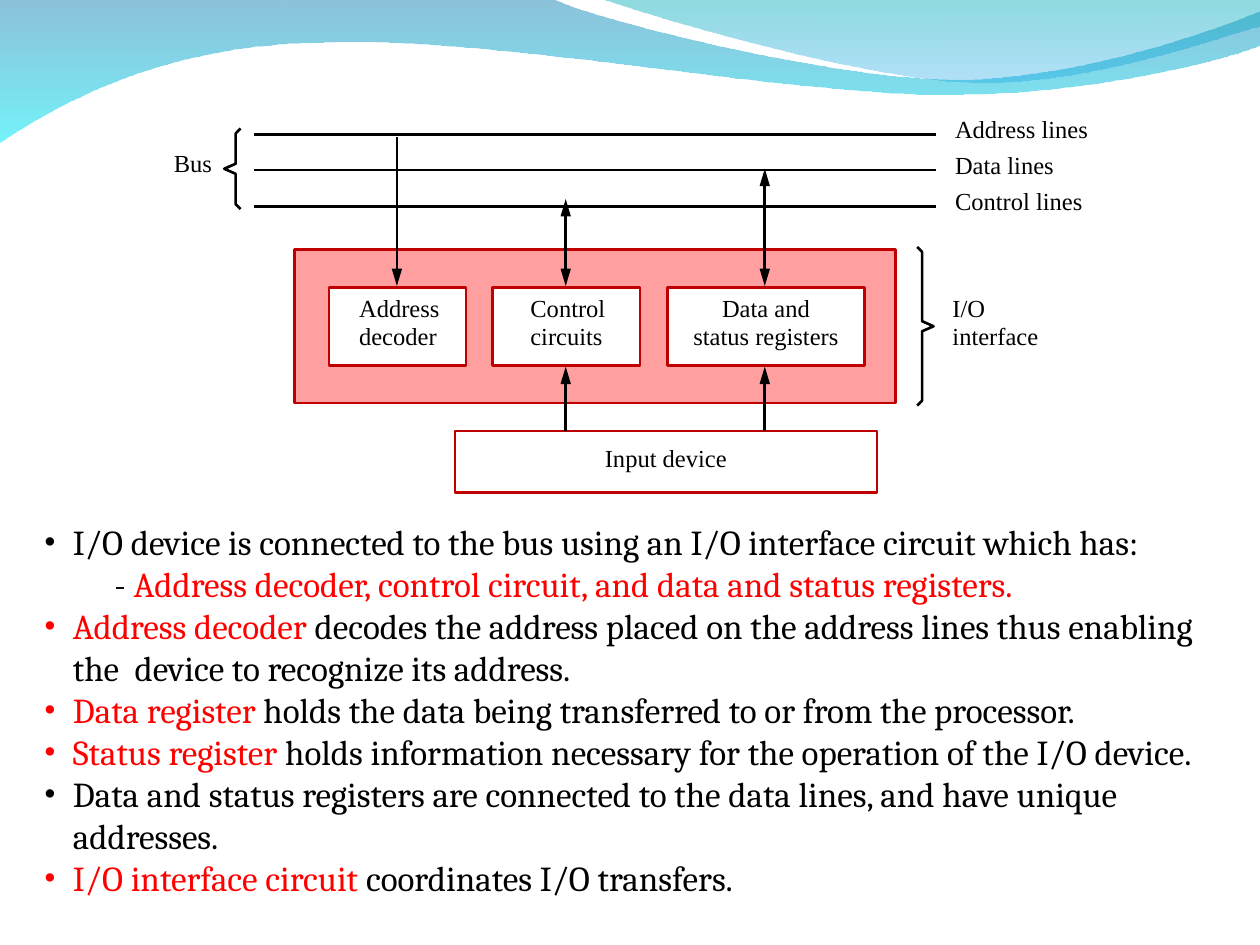
from dataclasses import dataclass

from lxml.etree import SubElement
from pptx import Presentation
from pptx.dml.color import RGBColor
from pptx.enum.shapes import MSO_CONNECTOR as Connector, MSO_SHAPE as Shape
from pptx.enum.text import MSO_ANCHOR as Anchor, PP_ALIGN as Align
from pptx.oxml.ns import qn
from pptx.util import Inches, Pt


@dataclass(frozen=True)
class Theme:
    black: str = "000000"
    white: str = "FFFFFF"
    red: str = "FF0000"
    border: str = "C00000"
    panel: str = "FF9F9F"
    label_font: str = "Times New Roman"
    body_font: str = "Cambria"
    label_size: int = 14
    body_size: int = 20
    label_spacing: float = 0.95
    line_width: float = 1.5


theme = Theme()

# Waves: start, cubic or straight segments, gradient stops (colour, opacity %)
WAVES = [
    ((0, 0), [[(4.4, 0)],
              [(4.76, 0.17), (6.64, 0.63), (7.58, 0.63)],
              [(8.53, 0.63), (9.58, 0.26), (10, 0.09)],
              [(10, 0.36)],
              [(9.83, 0.44), (8.7, 0.76), (7.46, 0.75)],
              [(6.22, 0.75), (3.82, 0.28), (2.57, 0.34)],
              [(1.29, 0.35), (0.46, 0.83), (0, 1.13)]],
     [("0079AF", 45), ("00EBF8", 55)]),
    ((4.79, 0), [[(5.09, 0.11), (6.82, 0.62), (7.69, 0.65)],
                 [(8.56, 0.69), (9.61, 0.32), (10, 0.21)],
                 [(10, 0)]],
     [("00ADB6", 45), ("009BE5", 30)]),
]

# Diagram: bus lines, boxes, arrows, braces and labels
BUS_LEFT, BUS_RIGHT = 2.02, 7.43
BUS_LINES = [1.07, 1.35, 1.64]
PANEL = (2.34, 1.98, 4.77, 1.22)
BOXES = [  # lines, left, top, width, height, left inset (None: centred), top inset
    (["Address", "decoder"], 2.61, 2.28, 1.09, 0.62, 0.24, 0.06),
    (["Control", "circuits"], 3.91, 2.28, 1.17, 0.62, 0.3, 0.06),
    (["Data and", "status registers"], 5.3, 2.28, 1.56, 0.62, None, 0.06),
    (["Input device"], 3.61, 3.42, 3.35, 0.49, None, 0.11),
]
ARROWS = [  # x, start, end, both ends
    (3.15, 1.09, 2.27, False),
    (4.49, 1.58, 2.27, True),
    (6.07, 1.34, 2.27, True),
    (4.49, 3.42, 2.91, False),
    (6.07, 3.42, 2.91, False),
]
BRACES = [(1.91, 1.78, 1.02, 1.66), (7.28, 7.41, 1.96, 3.22)]  # edge, tip, top, bottom
LABELS = [  # lines, left, top, width
    (["Bus"], 1.38, 1.19, 0.4),
    (["Address lines"], 7.58, 0.92, 1.2),
    (["Data lines"], 7.58, 1.21, 1.2),
    (["Control lines"], 7.58, 1.49, 1.2),
    (["I/O", "interface"], 7.56, 2.34, 0.8),
]

# Notes: bulleted or not, then (text, colour) runs
BLACK, RED = theme.black, theme.red
NOTES = [
    (True, [("I/O device is connected to the bus using an I/O interface circuit which has:", BLACK)]),
    (False, [("- ", BLACK),
             ("Address decoder, control circuit, and data and status registers.", RED)]),
    (True, [("Address decoder ", RED),
            ("decodes the address placed on the address lines thus enabling the  device "
             "to recognize its address.", BLACK)]),
    (True, [("Data register ", RED),
            ("holds the data being transferred to or from the processor.", BLACK)]),
    (True, [("Status register ", RED),
            ("holds information necessary for the operation of the I/O device.", BLACK)]),
    (True, [("Data and status registers are connected to the data lines, and have unique "
             "addresses.", BLACK)]),
    (True, [("I/O interface circuit ", RED), ("coordinates I/O transfers.", BLACK)]),
]

presentation = Presentation()
presentation.slide_width, presentation.slide_height = Inches(10), Inches(7.5)
slide = presentation.slides.add_slide(presentation.slide_layouts[6])
shapes = slide.shapes


def color(value):
    return RGBColor.from_string(value)


def set_line(shape, value):
    shape.line.color.rgb = color(value)
    shape.line.width = Pt(theme.line_width)


def style_run(run, font, size, value):
    run.font.name, run.font.size = font, Pt(size)
    run.font.color.rgb = color(value)


def add_outline(points, close):
    points = [(Inches(x), Inches(y)) for x, y in points]
    builder = shapes.build_freeform(*points[0])
    builder.add_line_segments(points[1:], close=close)
    shape = builder.convert_to_shape()
    shape.shadow.inherit = False
    return shape


def curve_points(start, segments, steps=40):
    points = [start]
    for segment in segments:
        if len(segment) == 1:
            points.append(segment[0])
            continue
        controls = [points[-1], *segment]
        for step in range(1, steps + 1):
            t = step / steps
            weights = ((1 - t) ** 3, 3 * t * (1 - t) ** 2, 3 * t * t * (1 - t), t ** 3)
            points.append(tuple(sum(w * c[axis] for w, c in zip(weights, controls))
                                for axis in (0, 1)))
    return points


def add_wave(start, segments, stops):
    wave = add_outline(curve_points(start, segments), True)
    wave.line.fill.background()
    wave.fill.gradient()
    wave.fill.gradient_angle = 270
    for stop, (value, _) in zip(wave.fill.gradient_stops, stops):
        stop.color.rgb = color(value)
    fills = wave.element.spPr.iter(qn("a:srgbClr"))
    for element, (_, opacity) in zip(fills, stops):
        SubElement(element, qn("a:alpha"), val=str(opacity * 1000))


def add_box(left, top, width, height, fill):
    box = shapes.add_shape(Shape.RECTANGLE, *map(Inches, (left, top, width, height)))
    box.shadow.inherit = False
    box.fill.solid()
    box.fill.fore_color.rgb = color(fill)
    set_line(box, theme.border)
    return box


def write_label(shape, lines, align, left=0, top=0):
    frame = shape.text_frame
    frame.word_wrap = True
    frame.vertical_anchor = Anchor.TOP
    frame.margin_left, frame.margin_top = Inches(left), Inches(top)
    frame.margin_right = frame.margin_bottom = 0
    frame.text = "\n".join(lines)
    for paragraph in frame.paragraphs:
        paragraph.alignment = align
        paragraph.line_spacing = theme.label_spacing
        style_run(paragraph.runs[0], theme.label_font, theme.label_size, theme.black)


def add_line(x1, y1, x2, y2, ends=()):
    line = shapes.add_connector(Connector.STRAIGHT, *map(Inches, (x1, y1, x2, y2)))
    set_line(line, theme.black)
    outline = line.element.spPr.find(qn("a:ln"))
    for end in ends:
        SubElement(outline, qn(f"a:{end}"), type="triangle", w="med", len="lg")
    SubElement(line.element.spPr, qn("a:effectLst"))


def add_brace(edge, tip, top, bottom):
    stem, middle = edge + (tip - edge) * 0.3, (top + bottom) / 2
    upper = [(edge, top), (stem, top + 0.04), (stem, middle - 0.04)]
    lower = [(x, top + bottom - y) for x, y in reversed(upper)]
    brace = add_outline([*upper, (tip, middle), *lower], False)
    brace.fill.background()
    set_line(brace, theme.black)


# Background waves
for wave in WAVES:
    add_wave(*wave)

# Interface diagram
add_box(*PANEL, theme.panel)
for lines, left, top, width, height, inset, drop in BOXES:
    box = add_box(left, top, width, height, theme.white)
    write_label(box, lines, Align.CENTER if inset is None else Align.LEFT, inset or 0, drop)
for y in BUS_LINES:
    add_line(BUS_LEFT, y, BUS_RIGHT, y)
for x, start, end, both in ARROWS:
    add_line(x, start, x, end, ("headEnd", "tailEnd") if both else ("tailEnd",))
for brace in BRACES:
    add_brace(*brace)
for lines, left, top, width in LABELS:
    label = shapes.add_textbox(*map(Inches, (left, top, width, 0.23 * len(lines))))
    write_label(label, lines, Align.LEFT)

# Notes
notes = shapes.add_textbox(*map(Inches, (0.25, 4.08, 9.58, 3.1))).text_frame
notes.word_wrap = True
for index, (bulleted, runs) in enumerate(NOTES):
    paragraph = notes.paragraphs[0] if index == 0 else notes.add_paragraph()
    for text, value in runs:
        run = paragraph.add_run()
        run.text = text
        style_run(run, theme.body_font, theme.body_size, value)
    properties = paragraph._p.get_or_add_pPr()
    properties.set("marL", str(Inches(0.23 if bulleted else 0.56)))
    if bulleted:
        properties.set("indent", str(Inches(-0.23)))
        SubElement(SubElement(properties, qn("a:buClr")), qn("a:srgbClr"), val=runs[0][1])
        SubElement(properties, qn("a:buFont"), typeface=theme.label_font)
        SubElement(properties, qn("a:buChar"), char="•")

presentation.save("out.pptx")
